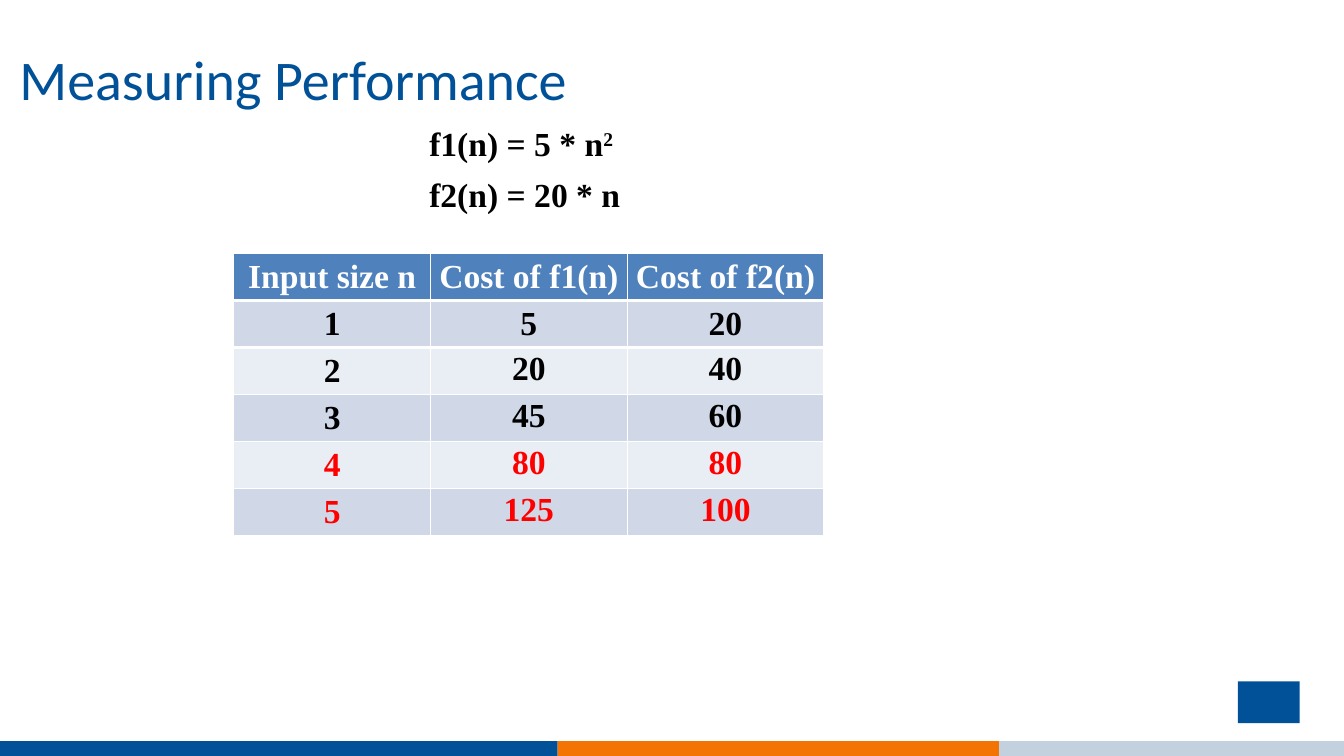
from lxml import etree
from pptx import Presentation
from pptx.dml.color import RGBColor
from pptx.enum.shapes import MSO_SHAPE
from pptx.enum.text import MSO_ANCHOR, MSO_AUTO_SIZE, PP_ALIGN
from pptx.oxml.ns import qn
from pptx.util import Emu, Pt

RECTANGLE = MSO_SHAPE.RECTANGLE
TOP, MIDDLE = MSO_ANCHOR.TOP, MSO_ANCHOR.MIDDLE
GROW = MSO_AUTO_SIZE.SHAPE_TO_FIT_TEXT
LEFT, CENTER, JUSTIFY = PP_ALIGN.LEFT, PP_ALIGN.CENTER, PP_ALIGN.JUSTIFY

PX = 9144
SERIF = "Times New Roman"
COLORS = {
    "blue": "005197",
    "orange": "F37402",
    "gray": "C3D0DD",
    "header": "4F81BD",
    "band_dark": "D0D8E8",
    "band_light": "E9EDF4",
    "white": "FFFFFF",
    "black": "000000",
    "red": "FF0000",
}
COSTS = [
    ("Input size n", "Cost of f1(n)", "Cost of f2(n)"),
    ("1", "5", "20"),
    ("2", "20", "40"),
    ("3", "45", "60"),
    ("4", "80", "80"),
    ("5", "125", "100"),
]


def px(n):
    return Emu(n * PX)


def color(name):
    return RGBColor.from_string(COLORS[name])


def format_runs(p, size, font, fill, bold=False):
    for r in p.runs:
        r.font.size = Pt(size)
        r.font.name = font
        r.font.bold = bold
        r.font.color.rgb = color(fill)


def add_block(s, left, top, width, height, fill):
    sp = s.shapes.add_shape(RECTANGLE, px(left), px(top), px(width), px(height))
    sp.shadow.inherit = False
    sp.fill.solid()
    sp.fill.fore_color.rgb = color(fill)
    sp.line.fill.background()


def set_title(s, text):
    sp = s.shapes.title
    sp.left, sp.top, sp.width, sp.height = px(29), px(49), px(1277), px(111)
    tf = sp.text_frame
    tf.text = text
    tf.word_wrap = True
    tf.auto_size = GROW
    tf.vertical_anchor = TOP
    tf.margin_left = tf.margin_top = tf.margin_right = tf.margin_bottom = 0
    p = tf.paragraphs[0]
    p.alignment = LEFT
    p.line_spacing = Pt(84)
    format_runs(p, 60, "Calibri", "blue")


def add_formulas(s):
    tf = s.shapes.add_textbox(px(29), px(174), px(1913), px(203)).text_frame
    tf.word_wrap = True
    tf.auto_size = GROW
    tf.text = "f1(n) = 5 * n"
    exponent = tf.paragraphs[0].add_run()
    exponent.text = "2"
    tf.add_paragraph().text = "f2(n) = 20 * n"
    for p in tf.paragraphs:
        p.alignment = JUSTIFY
        p.line_spacing = 1.07
        p.space_after = Pt(8)
        p._p.get_or_add_pPr().set("marL", str(px(600)))
        format_runs(p, 36, SERIF, "black", True)
    exponent._r.get_or_add_rPr().set("baseline", "30000")


def set_border(cell, side, width):
    line = etree.Element(qn(f"a:{side}"), w=str(Pt(width)))
    fill = etree.SubElement(line, qn("a:solidFill"))
    etree.SubElement(fill, qn("a:srgbClr"), val=COLORS["white"])
    cell._tc.get_or_add_tcPr().insert(0, line)


def row_colors(row):
    if row == 0:
        return "header", "white"
    band = "band_dark" if row % 2 else "band_light"
    return band, "red" if row >= 4 else "black"


def add_cost_table(s):
    rows, cols = len(COSTS), len(COSTS[0])
    table = s.shapes.add_table(
        rows, cols, px(348), px(377), px(878), px(70 * rows)
    ).table
    for i, values in enumerate(COSTS):
        fill, ink = row_colors(i)
        for j, value in enumerate(values):
            cell = table.cell(i, j)
            cell.text = value
            cell.vertical_anchor = MIDDLE if i < 2 or j == 0 else TOP
            cell.fill.solid()
            cell.fill.fore_color.rgb = color(fill)
            p = cell.text_frame.paragraphs[0]
            p.alignment = CENTER
            format_runs(p, 36, SERIF, ink, True)
            if i == 0:
                set_border(cell, "lnB", 3)
            elif i == 1:
                set_border(cell, "lnT", 3)


def main():
    prs = Presentation()
    prs.slide_width, prs.slide_height = px(2000), px(1125)
    s = prs.slides.add_slide(prs.slide_layouts[5])
    left = 0
    for width, fill in ((830, "blue"), (657, "orange"), (513, "gray")):
        add_block(s, left, 1103, width, 49, fill)
        left += width
    set_title(s, "Measuring Performance")
    add_formulas(s)
    add_block(s, 1842, 1014, 92, 62, "blue")
    add_cost_table(s)
    prs.save("out.pptx")


if __name__ == "__main__":
    main()
